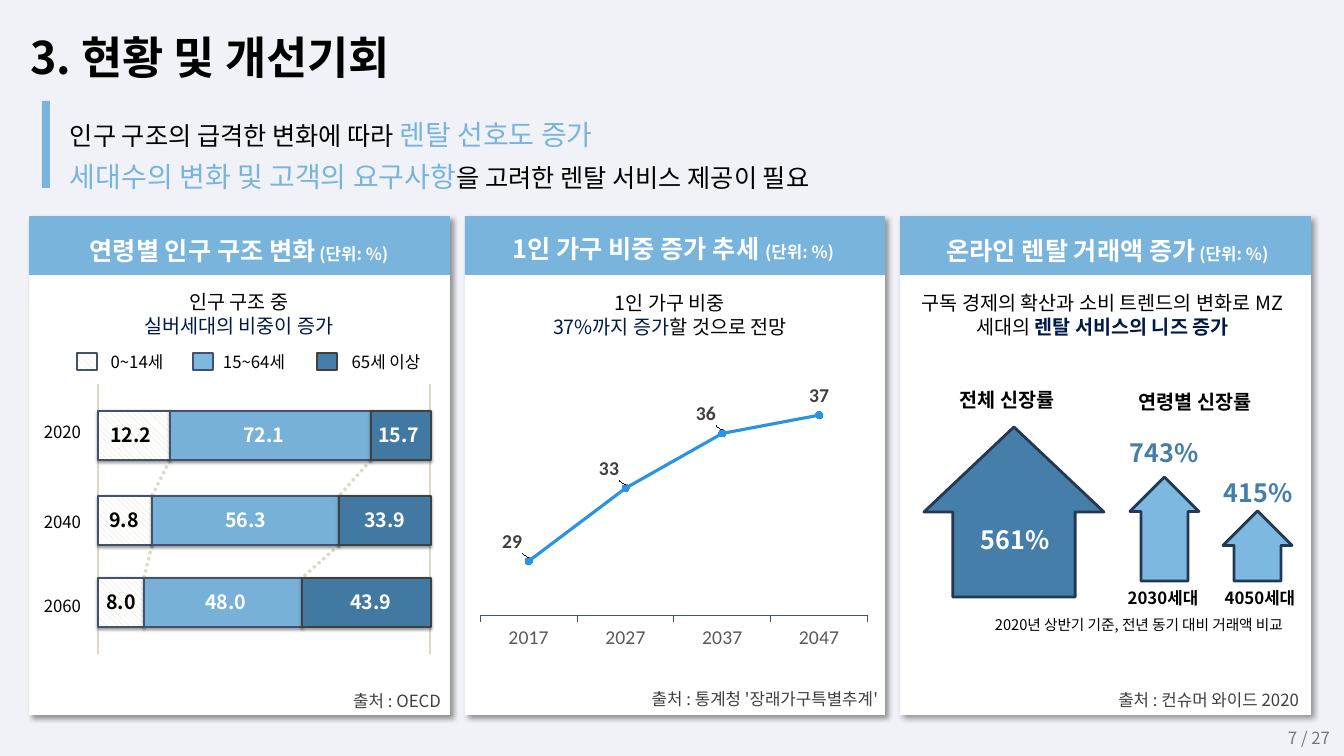
from itertools import pairwise

from lxml.etree import SubElement
from pptx import Presentation
from pptx.chart.data import CategoryChartData
from pptx.dml.color import RGBColor
from pptx.enum.chart import XL_CHART_TYPE, XL_LABEL_POSITION, XL_MARKER_STYLE, XL_TICK_MARK
from pptx.enum.dml import MSO_LINE, MSO_PATTERN
from pptx.enum.shapes import MSO_CONNECTOR, MSO_SHAPE
from pptx.enum.text import MSO_ANCHOR, MSO_AUTO_SIZE, PP_ALIGN
from pptx.oxml import parse_xml
from pptx.oxml.ns import nsdecls, qn
from pptx.util import Emu, Pt

FONT = "Noto Sans CJK KR"
CHART_FONT = "Calibri"
PAPER = RGBColor(0xF0, 0xF2, 0xF7)
WHITE = RGBColor(0xFF, 0xFF, 0xFF)
BLACK = RGBColor(0, 0, 0)
SKY = RGBColor(0x78, 0xB4, 0xDC)
NAVY = RGBColor(0x00, 0x1A, 0x47)
CHARCOAL = RGBColor(0x40, 0x40, 0x40)
GRAY = RGBColor(0x79, 0x79, 0x79)
AXIS_GRAY = RGBColor(0x59, 0x59, 0x59)
SAND = RGBColor(0xDD, 0xD9, 0xC3)
SLATE = RGBColor(0x44, 0x51, 0x6A)
BAR_LIGHT = RGBColor(0x77, 0xB1, 0xD7)
BAR_DARK = RGBColor(0x42, 0x79, 0xA3)
LIGHT = RGBColor(0x7C, 0xB8, 0xDF)
DARK = RGBColor(0x45, 0x7E, 0xA9)
ARROW_EDGE = RGBColor(0x23, 0x39, 0x53)
LINE_BLUE = RGBColor(0x2A, 0x93, 0xE4)
CARD_SHADOW = (4, 3, 45)
BAR_SHADOW = (2, 1, 90)


def px(value):
    return Emu(round(value * 914400 / 100.8))


class SlideBuilder:
    def __init__(self, page):
        self.page = page
        page.background.fill.solid()
        page.background.fill.fore_color.rgb = PAPER

    def set_text(self, box, paragraphs, size, color=BLACK, bold=False,
                 align=PP_ALIGN.CENTER, spacing=None, inset=True):
        frame = box.text_frame
        frame.word_wrap = True
        frame.auto_size = MSO_AUTO_SIZE.NONE
        frame.vertical_anchor = MSO_ANCHOR.TOP
        if not inset:
            frame.margin_left = frame.margin_right = 0
            frame.margin_top = frame.margin_bottom = 0
        for index, spans in enumerate(paragraphs):
            para = frame.add_paragraph() if index else frame.paragraphs[0]
            para.alignment = align
            if spacing:
                para.line_spacing = spacing
            for words, style in spans:
                span = para.add_run()
                span.text = words
                span.font.size = Pt(style.get("size", size))
                span.font.bold = style.get("bold", bold)
                span.font.color.rgb = style.get("color", color)
                span.font.name = FONT
                SubElement(span.font._element, qn("a:ea"), typeface=FONT)

    def title(self, words, left, top, width, height):
        box = self.page.shapes.title
        box.left, box.top, box.width, box.height = map(px, (left, top, width, height))
        self.set_text(box, [[(words, {})]], 32, bold=True, align=PP_ALIGN.LEFT, spacing=1.25)

    def text(self, left, top, width, height, paragraphs, size, **style):
        if isinstance(paragraphs, str):
            paragraphs = [[(paragraphs, {})]]
        box = self.page.shapes.add_textbox(*map(px, (left, top, width, height)))
        self.set_text(box, paragraphs, size, **style)

    def shape(self, left, top, width, height, color, edge=None, weight=1.5,
              shadow=None, kind=MSO_SHAPE.RECTANGLE):
        shape = self.page.shapes.add_shape(kind, *map(px, (left, top, width, height)))
        shape.shadow.inherit = False
        if color == SAND:
            shape.fill.patterned()
            shape.fill.pattern = MSO_PATTERN.WIDE_DOWNWARD_DIAGONAL
            shape.fill.fore_color.rgb = SAND
            shape.fill.back_color.rgb = WHITE
        else:
            shape.fill.solid()
            shape.fill.fore_color.rgb = color
        if edge is None:
            shape.line.fill.background()
        else:
            shape.line.color.rgb = edge
            shape.line.width = Pt(weight)
        if shadow:
            blur, distance, angle = shadow
            effects = shape._element.spPr.find(qn("a:effectLst"))
            effects.append(parse_xml(
                f'<a:outerShdw {nsdecls("a")} blurRad="{Pt(blur)}" dist="{Pt(distance)}" '
                f'dir="{angle * 60000}" algn="tl" rotWithShape="0"><a:srgbClr val="000000">'
                '<a:alpha val="40000"/></a:srgbClr></a:outerShdw>'))
        return shape

    def arrow(self, left, top, width, height, color):
        arrow = self.shape(left, top, width, height, color, ARROW_EDGE, 2, kind=MSO_SHAPE.UP_ARROW)
        arrow.adjustments[0] = 0.68
        arrow.adjustments[1] = 0.5

    def line(self, x1, y1, x2, y2, weight=1, dash=None):
        line = self.page.shapes.add_connector(MSO_CONNECTOR.STRAIGHT, *map(px, (x1, y1, x2, y2)))
        line.line.color.rgb = SAND
        line.line.width = Pt(weight)
        if dash:
            line.line.dash_style = dash
        SubElement(line._element.spPr, qn("a:effectLst"))

    def card(self, left, width, heading, unit, text_left, text_width, text_top):
        self.shape(left, 216, width, 499, WHITE, shadow=CARD_SHADOW)
        self.shape(left, 216, width, 59, SKY)
        self.text(text_left, text_top, text_width, 48, [[(heading, {}), (unit, {"size": 12})]],
                  18, color=WHITE, bold=True, spacing=Pt(28.8))

    def source(self, right, top, words):
        self.text(right - 345, top, 345, 31, words, 12, color=CHARCOAL,
                  align=PP_ALIGN.RIGHT, spacing=Pt(24), inset=False)

    def line_chart(self, left, top, width, height, categories, values):
        data = CategoryChartData()
        data.categories = categories
        data.add_series("Series 1", values)
        chart = self.page.shapes.add_chart(
            XL_CHART_TYPE.LINE_MARKERS, *map(px, (left, top, width, height)), data).chart
        chart.has_legend = chart.has_title = False
        chart.font.name, chart.font.size = CHART_FONT, Pt(10)
        chart.font.color.rgb = BLACK
        chart.plots[0].vary_by_categories = False
        value_axis, category_axis = chart.value_axis, chart.category_axis
        value_axis.visible = value_axis.has_major_gridlines = False
        value_axis.minimum_scale, value_axis.maximum_scale = 26, 38
        category_axis.major_tick_mark = XL_TICK_MARK.OUTSIDE
        category_axis.format.line.color.rgb = SLATE
        category_axis.format.line.width = Pt(0.75)
        category_axis.tick_labels.font.size = Pt(14)
        category_axis.tick_labels.font.name = CHART_FONT
        category_axis.tick_labels.font.color.rgb = AXIS_GRAY
        series = chart.plots[0].series[0]
        series.smooth = False
        series.format.line.color.rgb = LINE_BLUE
        series.format.line.width = Pt(2.25)
        series.marker.style, series.marker.size = XL_MARKER_STYLE.CIRCLE, 5
        series.marker.format.fill.solid()
        series.marker.format.fill.fore_color.rgb = LINE_BLUE
        series.marker.format.line.color.rgb = LINE_BLUE
        for index in range(len(values)):
            label = series.points[index].data_label
            label.position = XL_LABEL_POSITION.ABOVE
            label.font.name, label.font.size, label.font.bold = CHART_FONT, Pt(14), True
            label.font.color.rgb = CHARCOAL
        for label in list(series._element.iter(qn("c:dLbl")))[:-1]:
            label.insert(1, self.layout(x=-0.04, y=0))
        plot_area = chart._chartSpace.chart.plotArea
        for old in plot_area.findall(qn("c:layout")):
            plot_area.remove(old)
        plot_area.insert(0, self.layout("inner", xMode="edge", yMode="edge",
                                        x=0.03, y=0.11, w=0.94, h=0.73))

    def layout(self, target=None, **settings):
        layout = parse_xml(f'<c:layout {nsdecls("c")}><c:manualLayout/></c:layout>')
        if target:
            SubElement(layout[0], qn("c:layoutTarget"), val=target)
        for name, value in settings.items():
            SubElement(layout[0], qn(f"c:{name}"), val=str(value))
        return layout


def population(slide):
    slide.card(29, 421, "연령별 인구 구조 변화", " (단위: %)", 48, 382, 220)
    slide.text(54, 285, 370, 57, [[("인구 구조 중", {})],
                                  [("실버세대의 비중이 증가", {"color": NAVY})]], 14)
    slide.source(441, 677, "출처 : OECD")
    for x in (98, 430):
        slide.line(x, 654, x, 384)
    rows = [
        ("2020", 411, 417, (98, 170, 371, 431), (("12.2", 131), ("72.1", 264), ("15.7", 399))),
        ("2040", 496, 507, (98, 152, 339, 431), (("9.8", 124), ("56.3", 246), ("33.9", 385))),
        ("2060", 578, 591, (98, 144, 302, 431), (("8.0", 121), ("48.0", 226), ("43.9", 371))),
    ]
    bar_height = 49
    for upper, lower in pairwise(rows):
        for start, end in zip(upper[3][1:3], lower[3][1:3]):
            slide.line(start, upper[1] + bar_height, end, lower[1], 2.25, MSO_LINE.ROUND_DOT)
    bar_styles = ((SAND, SLATE, BLACK), (BAR_LIGHT, SLATE, WHITE), (BAR_DARK, CHARCOAL, WHITE))
    for year, top, year_top, edges, labels in rows:
        slide.text(15, year_top, 95, 34, year, 12)
        for (left, right), (fill, edge, ink), (value, center) in zip(
                pairwise(edges), bar_styles, labels):
            slide.shape(left, top, right - left, bar_height, fill, edge, shadow=BAR_SHADOW)
            slide.text(center - 45, top + 7, 90, 34, value, 14, color=ink, bold=True)
    for left, center, words, fill, edge in (
            (77, 137, "0~14세", SAND, SLATE), (193, 254, "15~64세", LIGHT, SLATE),
            (317, 386, "65세 이상", DARK, CHARCOAL)):
        slide.shape(left, 353, 20, 17, fill, edge)
        slide.text(center - 54, 347, 108, 30, words, 12)


def households(slide):
    slide.card(465, 420, "1인 가구 비중 증가 추세 ", "(단위: %)", 474, 399, 218)
    slide.line_chart(468, 364, 412, 300, ("2017", "2027", "2037", "2047"), (29, 33, 36, 37))
    slide.text(485, 286, 370, 57, [[("1인 가구 비중", {})],
                                   [("37%까지 증가", {"color": NAVY}), ("할 것으로 전망", {})]], 14)
    slide.source(878, 675, "출처 : 통계청 '장래가구특별추계'")


def online_rental(slide):
    slide.card(900, 411, "온라인 렌탈 거래액 증가", " (단위: %)", 890, 435, 220)
    slide.source(1299, 676, "출처 : 컨슈머 와이드 2020")
    slide.text(904, 286, 397, 57, [[("구독 경제의 확산과 소비 트렌드의 변화로 MZ세대의 ", {}),
                                    ("렌탈 서비스의 니즈 증가", {"color": NAVY, "bold": True})]], 14)
    slide.arrow(924, 427, 180, 170, DARK)
    slide.arrow(1130, 477, 69, 104, LIGHT)
    slide.arrow(1223, 511, 69, 70, LIGHT)
    for center, top, words, size, color in (
            (1015, 519, "561%", 18, WHITE), (1164, 432, "743%", 18, DARK),
            (1258, 472, "415%", 18, DARK), (1163, 583, "2030세대", 12, BLACK),
            (1260, 583, "4050세대", 12, BLACK), (1195, 385, "연령별 신장률", 14, BLACK),
            (1007, 383, "전체 신장률", 14, BLACK)):
        slide.text(center - 80, top, 160, 36, words, size, color=color, bold=True)
    slide.text(960, 611, 358, 28, "2020년 상반기 기준, 전년 동기 대비 거래액 비교", 10.5)


def main():
    deck = Presentation()
    deck.slide_width, deck.slide_height = px(1344), px(756)
    slide = SlideBuilder(deck.slides.add_slide(deck.slide_layouts[5]))
    slide.title("3. 현황 및 개선기회", 20, 11, 543, 74)
    slide.shape(42, 101, 8, 87, SKY)
    accent = {"size": 20, "color": SKY}
    slide.text(70, 109, 1253, 82, [
        [("인구 구조의 급격한 변화에 따라 ", {}), ("렌탈 선호도 증가", accent)],
        [("세대수의 변화 및 고객의 요구사항", accent), ("을 고려한 렌탈 서비스 제공이 필요", {})],
    ], 18, align=PP_ALIGN.LEFT, spacing=1.25, inset=False)
    population(slide)
    households(slide)
    online_rental(slide)
    slide.text(1038, 723, 302, 33, "7 / 27", 12, color=GRAY, align=PP_ALIGN.RIGHT)
    deck.save("out.pptx")


if __name__ == "__main__":
    main()
